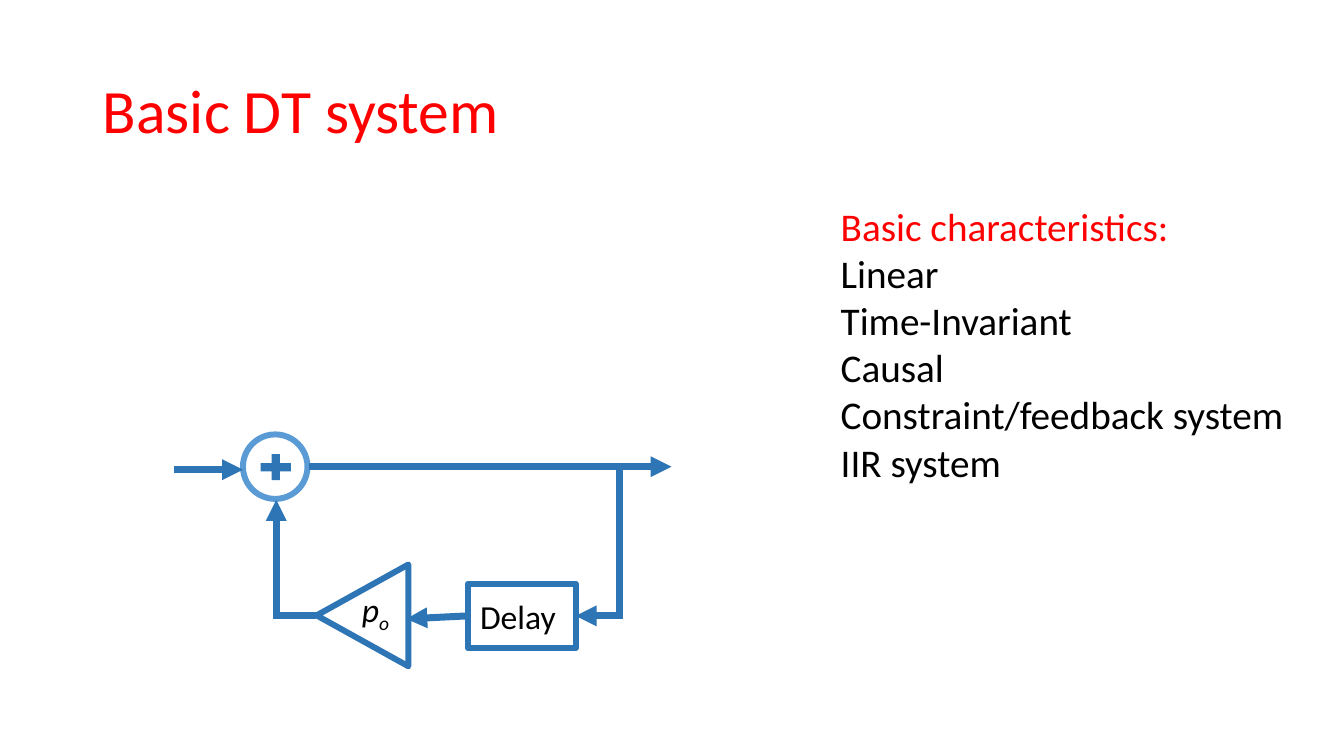
from pptx import Presentation
from pptx.dml.color import RGBColor
from pptx.enum.shapes import MSO_CONNECTOR as CONNECTOR, MSO_SHAPE as SHAPE
from pptx.enum.text import MSO_ANCHOR as ANCHOR, MSO_AUTO_SIZE as AUTO_SIZE, PP_ALIGN as ALIGN
from pptx.oxml.ns import qn
from pptx.util import Inches, Pt
from lxml import etree

COLORS = {"red": "FF0000", "black": "000000", "white": "FFFFFF",
          "signal": "2E75B6", "adder": "5B9BD5"}


def add_run(paragraph, text, size, color="black", italic=None):
    run = paragraph.add_run()
    run.text = text
    run.font.name = "Calibri"
    run.font.size = Pt(size)
    run.font.italic = italic
    run.font.color.rgb = RGBColor.from_string(COLORS[color])
    return run


def add_block(kind, left, top, width, height, fill=None, line=None):
    block = slide.shapes.add_shape(kind, Inches(left), Inches(top), Inches(width), Inches(height))
    block.shadow.inherit = False
    if fill:
        block.fill.solid()
        block.fill.fore_color.rgb = RGBColor.from_string(COLORS[fill])
    else:
        block.fill.background()
    if line:
        block.line.color.rgb = RGBColor.from_string(COLORS[line])
        block.line.width = Pt(4.25)
    else:
        block.line.fill.background()
    return block


prs = Presentation()
prs.slide_width, prs.slide_height = Inches(13.33), Inches(7.5)
slide = prs.slides.add_slide(prs.slide_layouts[5])

# Title
title = slide.shapes.title
title.left, title.top, title.width, title.height = (
    Inches(0.92), Inches(0.4), Inches(11.5), Inches(1.45))
title.text_frame.vertical_anchor = ANCHOR.MIDDLE
heading = title.text_frame.paragraphs[0]
heading.alignment = ALIGN.LEFT
heading.line_spacing = 0.9
add_run(heading, "Basic DT system", 44, "red")

# Gain, adder and delay blocks
gain = add_block(SHAPE.ISOSCELES_TRIANGLE, 3.09, 5.65, 1.01, 0.91, "white", "signal")
gain.rotation = 270
add_block(SHAPE.OVAL, 2.41, 4.31, 0.64, 0.64, line="adder")
add_block(SHAPE.MATH_PLUS, 2.53, 4.46, 0.41, 0.35, fill="signal")
delay = add_block(SHAPE.RECTANGLE, 4.64, 5.79, 1.07, 0.64, "white", "signal")
delay.text_frame.vertical_anchor = ANCHOR.MIDDLE
delay_label = delay.text_frame.paragraphs[0]
delay_label.alignment = ALIGN.CENTER
add_run(delay_label, "Delay ", 24)

# Signal paths: start, end, arrowhead, delay side at start, delay side at end
signal_paths = [
    ((3.06, 4.63), (6.66, 4.63), True, None, None),
    ((6.14, 4.66), (6.14, 6.14), False, None, None),
    ((6.13, 6.11), (5.71, 6.11), True, None, 3),
    ((2.74, 6.11), (3.13, 6.11), False, None, None),
    ((2.74, 6.14), (2.74, 4.96), True, None, None),
    ((1.73, 4.66), (2.41, 4.66), True, None, None),
    ((4.64, 6.11), (4.03, 6.14), True, 1, None),
]
for start, end, arrow, start_side, end_side in signal_paths:
    signal = slide.shapes.add_connector(
        CONNECTOR.STRAIGHT, *(Inches(value) for value in start + end))
    signal.line.color.rgb = RGBColor.from_string(COLORS["signal"])
    signal.line.width = Pt(5)
    if arrow:
        etree.SubElement(signal.line._get_or_add_ln(), qn("a:tailEnd"), type="triangle")
    etree.SubElement(signal._element.spPr, qn("a:effectLst"))
    if start_side is not None:
        signal.begin_connect(delay, start_side)
    if end_side is not None:
        signal.end_connect(delay, end_side)

# Gain label
gain_label = slide.shapes.add_textbox(Inches(3.49), Inches(5.79), Inches(0.54), Inches(0.5))
gain_label.text_frame.word_wrap = True
gain_label.text_frame.auto_size = AUTO_SIZE.SHAPE_TO_FIT_TEXT
pole = gain_label.text_frame.paragraphs[0]
add_run(pole, "p", 24, italic=True)
subscript = add_run(pole, "o", 24, italic=True)
subscript._r.get_or_add_rPr().set("baseline", "-25000")

# Characteristics
characteristics = slide.shapes.add_textbox(Inches(8.24), Inches(1.96), Inches(4.6), Inches(2.93))
frame = characteristics.text_frame
frame.word_wrap = True
frame.auto_size = AUTO_SIZE.SHAPE_TO_FIT_TEXT
add_run(frame.paragraphs[0], "Basic characteristics:", 28, "red")
for trait in ["Linear", "Time-Invariant", "Causal", "Constraint/feedback system", "IIR system"]:
    add_run(frame.add_paragraph(), trait, 28)

prs.save("out.pptx")
